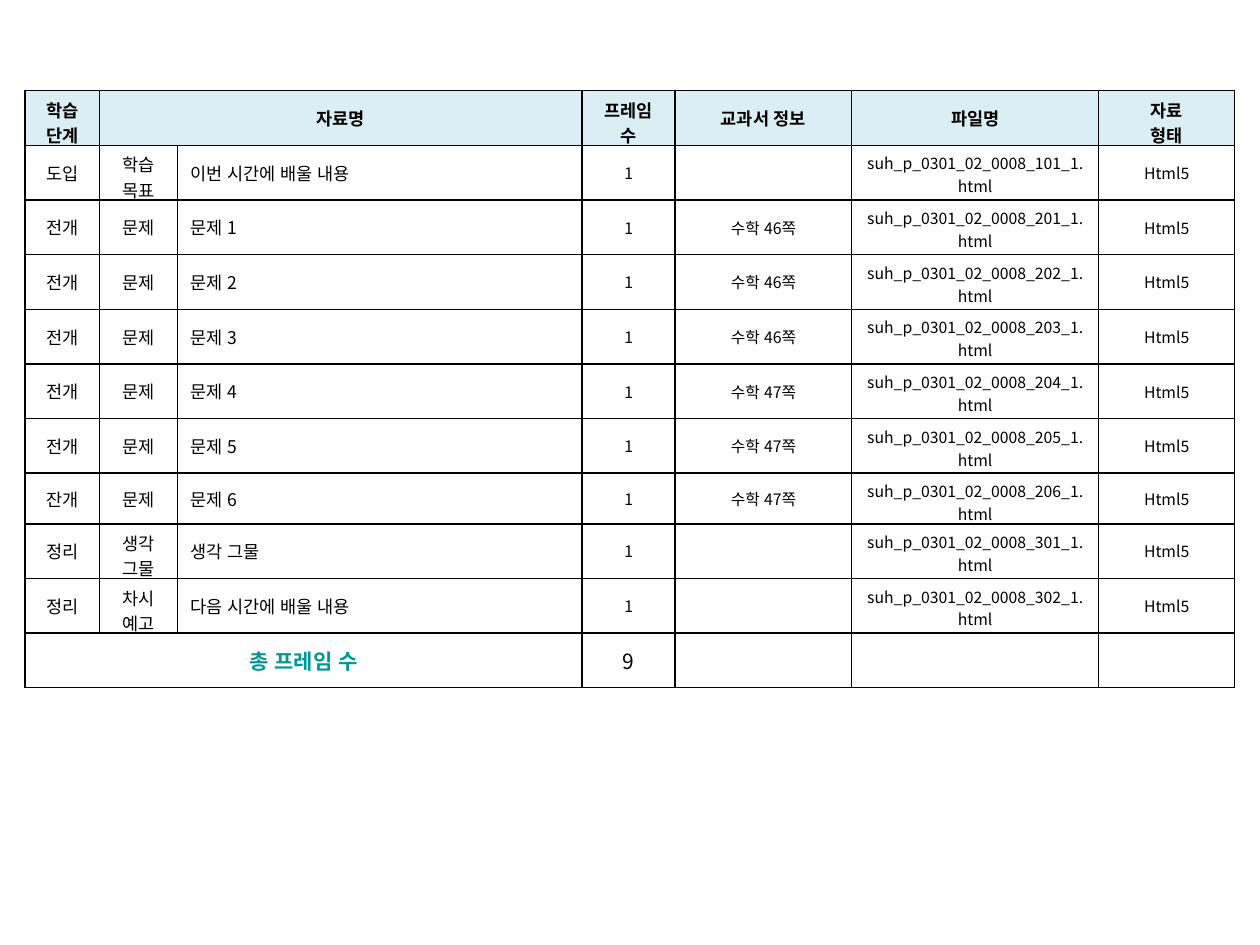
from dataclasses import dataclass

from lxml.etree import SubElement
from pptx import Presentation
from pptx.dml.color import RGBColor
from pptx.enum.lang import MSO_LANGUAGE_ID as Language
from pptx.enum.text import MSO_ANCHOR as Anchor, PP_ALIGN as Align
from pptx.oxml.ns import qn
from pptx.util import Inches, Pt

BLACK = RGBColor(0x00, 0x00, 0x00)
TEAL = RGBColor(0x00, 0x99, 0x99)
PALE_BLUE = RGBColor(0xDB, 0xEE, 0xF4)
FONT = "Noto Sans CJK KR"

SLIDE_WIDTH, SLIDE_HEIGHT = Inches(10), Inches(7.5)
LEFT, TOP, WIDTH, HEIGHT = Inches(0.2), Inches(0.72), Inches(9.6), Inches(4.73)
COLUMN_WIDTHS = (0.59, 0.62, 3.21, 0.74, 1.4, 1.96, 1.08)
SHORT_ROW, ROW_COUNT = 7, 11
SHORT_HEIGHT = Inches(0.4)
ROW_HEIGHT = (HEIGHT - SHORT_HEIGHT) // (ROW_COUNT - 1)
TOP_MARGIN = Inches(0.05)
LINE_FACTOR = 1.45


@dataclass(frozen=True)
class Style:
    size: int
    bold: bool = False
    color: RGBColor = BLACK
    align: Align = Align.CENTER
    fill: RGBColor | None = None


@dataclass(frozen=True)
class Lesson:
    stage: str
    section: str
    title: str
    page: str
    file_number: int

    def texts(self) -> tuple[str, ...]:
        file_name = f"suh_p_0301_02_0008_{self.file_number}_1.html"
        return (self.stage, self.section, self.title, "1", self.page, file_name, "Html5")


HEADER = Style(10, bold=True, fill=PALE_BLUE)
LABEL = Style(10)
TITLE = Style(10, align=Align.LEFT)
DETAIL = Style(9)
TOTAL_LABEL = Style(12, bold=True, color=TEAL)
TOTAL = Style(12)
LESSON_STYLES = (LABEL, LABEL, TITLE) + (DETAIL,) * 4
TOTAL_STYLES = (TOTAL_LABEL,) * 3 + (TOTAL,) + (DETAIL,) * 3

HEADINGS = ("학습 단계", "자료명", "", "프레임 수", "교과서 정보", "파일명", "자료\n형태")
TOTALS = ("총 프레임 수", "", "", "9", "", "", "")
TWO_LINE_TEXTS = ("학습 단계", "프레임 수", "차시 예고")
PROBLEMS = [
    Lesson(
        "잔개" if number == 6 else "전개",
        "문제",
        f"문제 {number}",
        f"수학 {46 if number <= 3 else 47}쪽",
        200 + number,
    )
    for number in range(1, 7)
]
LESSONS = [
    Lesson("도입", "학습\n목표", "이번 시간에 배울 내용", "", 101),
    *PROBLEMS,
    Lesson("정리", "생각\n그물", "생각 그물", "", 301),
    Lesson("정리", "차시 예고", "다음 시간에 배울 내용", "", 302),
]


def draw_borders(cell) -> None:
    properties = cell._tc.get_or_add_tcPr()
    for side in ("lnL", "lnR", "lnT", "lnB"):
        line = SubElement(properties, qn(f"a:{side}"), w=str(Pt(1)))
        fill = SubElement(line, qn("a:solidFill"))
        SubElement(fill, qn("a:srgbClr"), val=str(BLACK))


def takes_two_lines(text: str) -> bool:
    return "\n" in text or text in TWO_LINE_TEXTS or text.endswith(".html")


def fill_cell(cell, text: str, style: Style, height: int) -> None:
    draw_borders(cell)
    if style.fill is None:
        cell.fill.background()
    else:
        cell.fill.solid()
        cell.fill.fore_color.rgb = style.fill
    cell.vertical_anchor = Anchor.MIDDLE
    cell.margin_top = cell.margin_bottom = TOP_MARGIN
    if takes_two_lines(text):
        text_height = Pt(2 * style.size * LINE_FACTOR)
        cell.margin_bottom = height - TOP_MARGIN - text_height
    frame = cell.text_frame
    for index, words in enumerate(text.split("\n")):
        paragraph = frame.add_paragraph() if index else frame.paragraphs[0]
        paragraph.alignment = style.align
        if not words:
            SubElement(paragraph._p, qn("a:endParaRPr"), sz=str(style.size * 100))
            continue
        run = paragraph.add_run()
        run.text = words
        run.font.size = Pt(style.size)
        run.font.bold = style.bold
        run.font.color.rgb = style.color
        run.font.name = FONT
        run.font.language_id = Language.KOREAN
        SubElement(run._r.get_or_add_rPr(), qn("a:ea"), typeface=FONT)


def fill_row(table, row: int, texts: tuple[str, ...], styles: tuple[Style, ...]) -> None:
    height = SHORT_HEIGHT if row == SHORT_ROW else ROW_HEIGHT
    table.rows[row].height = height
    for column, (text, style) in enumerate(zip(texts, styles)):
        fill_cell(table.cell(row, column), text, style, height)


def draw_lesson_table(slide) -> None:
    shape = slide.shapes.add_table(
        ROW_COUNT, len(COLUMN_WIDTHS), LEFT, TOP, WIDTH, HEIGHT
    )
    table = shape.table
    table.first_row = False
    table.horz_banding = False
    for column, width in zip(table.columns, COLUMN_WIDTHS):
        column.width = Inches(width)

    last = ROW_COUNT - 1
    fill_row(table, 0, HEADINGS, (HEADER,) * len(HEADINGS))
    for row, lesson in enumerate(LESSONS, start=1):
        fill_row(table, row, lesson.texts(), LESSON_STYLES)
    fill_row(table, last, TOTALS, TOTAL_STYLES)
    table.cell(0, 1).merge(table.cell(0, 2))
    table.cell(last, 0).merge(table.cell(last, 2))


def main() -> None:
    presentation = Presentation()
    presentation.slide_width = SLIDE_WIDTH
    presentation.slide_height = SLIDE_HEIGHT
    slide = presentation.slides.add_slide(presentation.slide_layouts[6])
    draw_lesson_table(slide)
    presentation.save("out.pptx")


if __name__ == "__main__":
    main()
